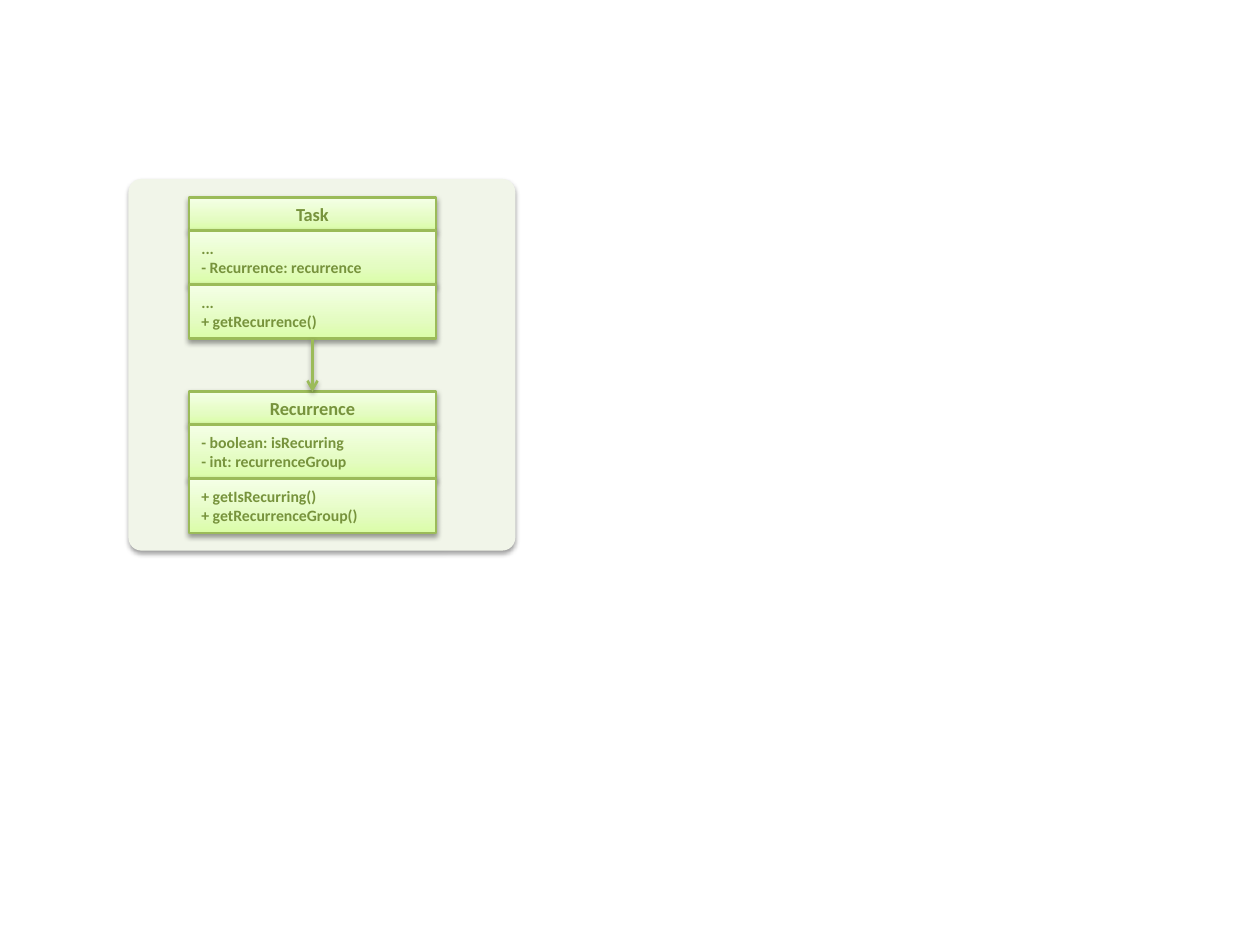
from copy import deepcopy

from lxml.etree import SubElement
from pptx import Presentation
from pptx.dml.color import RGBColor
from pptx.enum.shapes import MSO_CONNECTOR, MSO_SHAPE
from pptx.enum.text import MSO_ANCHOR, PP_ALIGN
from pptx.oxml.ns import qn
from pptx.util import Inches, Pt

COLORS = {
    "panel": "F1F5E9",
    "line": "9BBB59",
    "text": "77933C",
    "shadow": "000000",
    "grad_bottom": "DAFDA7",
    "grad_middle": "E4FCC2",
    "grad_top": "F5FFE7",
}
BOX_LEFT, BOX_WIDTH = 1.5, 1.96
NAME_HEIGHT, MEMBERS_HEIGHT = 0.26, 0.43


def color(name):
    return RGBColor.from_string(COLORS[name])


def add_shadow(spPr):
    effects = spPr.find(qn("a:effectLst"))
    if effects is None:
        effects = SubElement(spPr, qn("a:effectLst"))
    shadow = SubElement(effects, qn("a:outerShdw"), blurRad=str(Pt(3.1)),
                        dist=str(Pt(1.6)), dir="5400000", rotWithShape="0")
    clr = SubElement(shadow, qn("a:srgbClr"), val=COLORS["shadow"])
    SubElement(clr, qn("a:alpha"), val="38000")


def set_line(line):
    line.color.rgb = color("line")
    line.width = Pt(1.5)


def set_gradient(s):
    s.fill.gradient()
    s.fill.gradient_angle = 90
    # The default gradient has two stops; a third is added in the middle
    stops = s.element.spPr.find(".//" + qn("a:gsLst"))
    stops.insert(1, deepcopy(stops[0]))
    names = ("grad_bottom", "grad_middle", "grad_top")
    for stop, pos, name in zip(s.fill.gradient_stops, (0, 0.35, 1), names):
        stop.color.rgb = color(name)
        stop.position = pos


def set_text(s, lines, size=9, align=PP_ALIGN.LEFT):
    tf = s.text_frame
    tf.word_wrap = True
    tf.vertical_anchor = MSO_ANCHOR.MIDDLE
    for i, line in enumerate(lines):
        p = tf.paragraphs[0] if i == 0 else tf.add_paragraph()
        p.alignment = align
        r = p.add_run()
        r.text = line
        r.font.name = "Calibri"
        r.font.size = Pt(size)
        r.font.bold = True
        r.font.color.rgb = color("text")


def add_panel(slide, left, top, width, height):
    s = slide.shapes.add_shape(MSO_SHAPE.ROUNDED_RECTANGLE, Inches(left),
                               Inches(top), Inches(width), Inches(height))
    s.adjustments[0] = 0.035
    s.fill.solid()
    s.fill.fore_color.rgb = color("panel")
    s.line.fill.background()
    s.shadow.inherit = False
    add_shadow(s.element.spPr)


def add_compartment(slide, top, height, lines, **text_format):
    s = slide.shapes.add_shape(MSO_SHAPE.RECTANGLE, Inches(BOX_LEFT), Inches(top),
                               Inches(BOX_WIDTH), Inches(height))
    set_gradient(s)
    set_line(s.line)
    s.shadow.inherit = False
    add_shadow(s.element.spPr)
    set_text(s, lines, **text_format)
    return s


def add_class(slide, top, name, fields, methods):
    """Stack name, fields and methods; return the first and last boxes."""
    first = add_compartment(slide, top, NAME_HEIGHT, [name],
                            size=10.5, align=PP_ALIGN.CENTER)
    top += NAME_HEIGHT
    add_compartment(slide, top, MEMBERS_HEIGHT, fields)
    last = add_compartment(slide, top + MEMBERS_HEIGHT, MEMBERS_HEIGHT, methods)
    return first, last


def add_arrow(slide, source, target):
    c = slide.shapes.add_connector(MSO_CONNECTOR.STRAIGHT, 0, 0, 0, 0)
    c.begin_connect(source, 2)
    c.end_connect(target, 0)
    set_line(c.line)
    SubElement(c.get_or_add_ln(), qn("a:tailEnd"), type="arrow")
    add_shadow(c.element.spPr)


def main():
    prs = Presentation()
    prs.slide_width, prs.slide_height = Inches(10), Inches(7.5)
    slide = prs.slides.add_slide(prs.slide_layouts[6])

    # Background panel
    add_panel(slide, 1.02, 1.42, 3.07, 2.95)

    # Classes and the association between them
    _, task_bottom = add_class(
        slide, 1.57, "Task",
        ["...", "- Recurrence: recurrence"],
        ["...", "+ getRecurrence()"])
    recurrence_top, _ = add_class(
        slide, 3.11, "Recurrence",
        ["- boolean: isRecurring", "- int: recurrenceGroup"],
        ["+ getIsRecurring()", "+ getRecurrenceGroup()"])
    add_arrow(slide, task_bottom, recurrence_top)

    prs.save("out.pptx")


if __name__ == "__main__":
    main()
